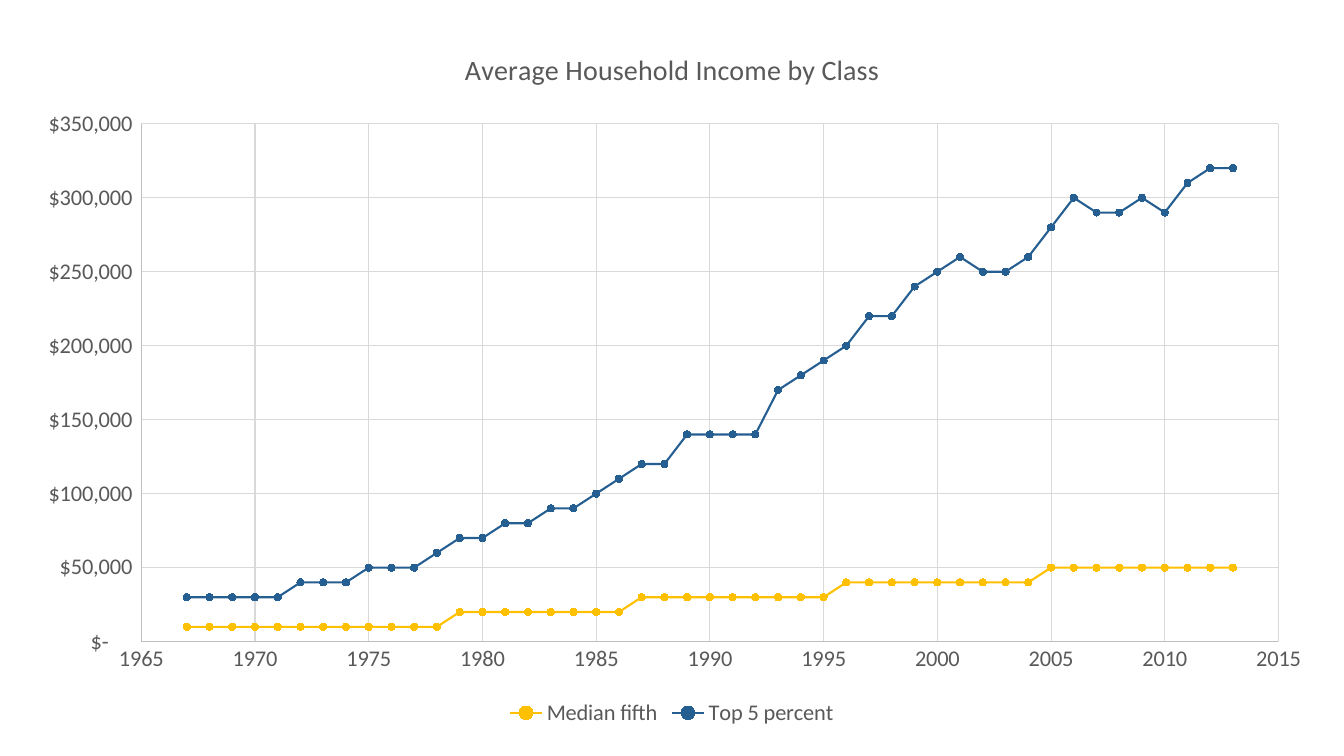
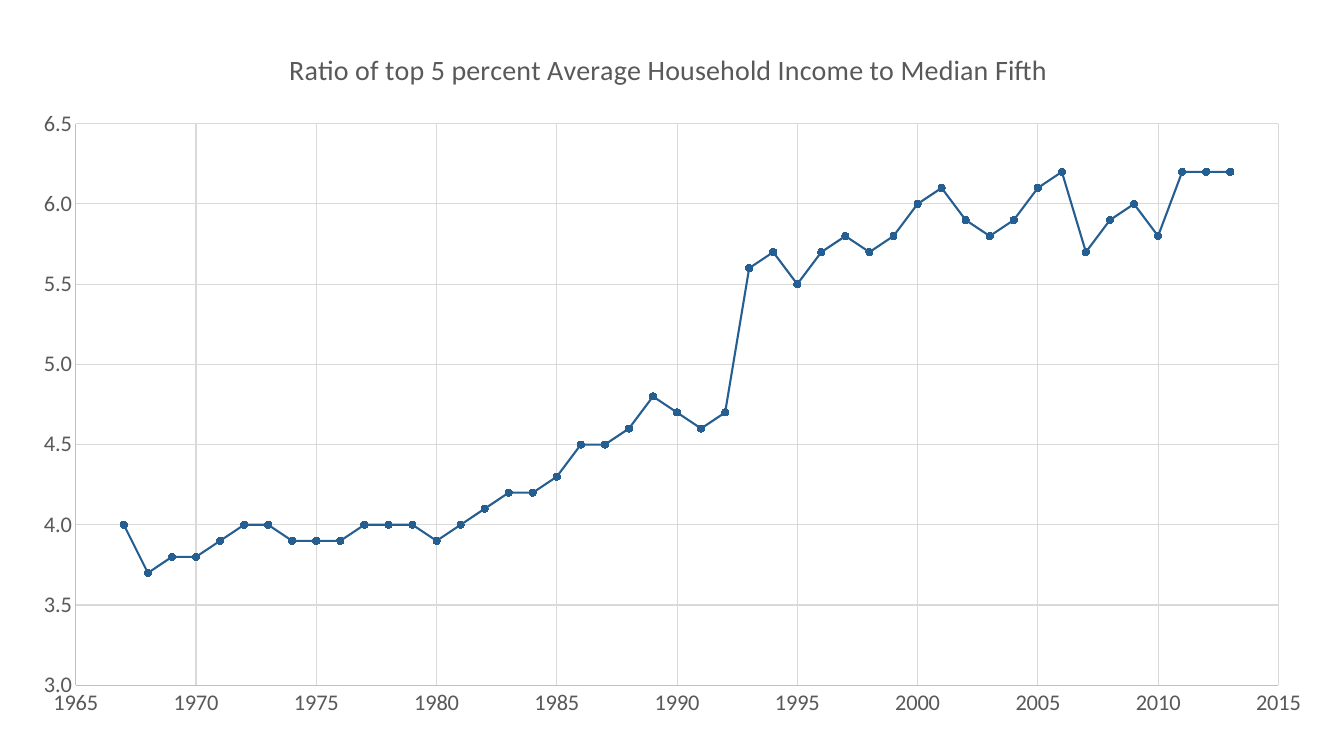
from pptx import Presentation
from pptx.chart.data import XyChartData
from pptx.dml.color import RGBColor
from pptx.enum.chart import XL_CHART_TYPE as ChartType
from pptx.enum.chart import XL_LEGEND_POSITION as LegendPosition
from pptx.enum.chart import XL_MARKER_STYLE as MarkerStyle
from pptx.enum.chart import XL_TICK_MARK as TickMark
from pptx.oxml import parse_xml
from pptx.oxml.ns import nsdecls, qn
from pptx.util import Cm, Pt

GOLD = RGBColor(0xFF, 0xC0, 0x00)
BLUE = RGBColor(0x25, 0x5E, 0x91)
TEXT_GRAY = RGBColor(0x59, 0x59, 0x59)
AXIS_GRAY = RGBColor(0xBF, 0xBF, 0xBF)
GRID_GRAY = RGBColor(0xD9, 0xD9, 0xD9)

FONT = "Calibri"
CHART_LEFT, CHART_TOP = Cm(0.42), Cm(0.64)
CHART_WIDTH, CHART_HEIGHT = Cm(33.02), Cm(17.78)
TITLE_TOP = Cm(0.48)
PLOT_TOP = Cm(2.48)

DOLLARS = '_("$"* #,##0_);_("$"* \\(#,##0\\);_("$"* "-"??_);_(@_)'
YEARS = range(1967, 2014)
YEAR_SCALE = {"minimum_scale": 1965, "maximum_scale": 2015, "major_unit": 5}
INCOME_SCALE = {"minimum_scale": 0, "maximum_scale": 350000, "major_unit": 50000}
RATIO_SCALE = {"minimum_scale": 3, "maximum_scale": 6.5, "major_unit": 0.5}

INCOME_STEP = 10000
MEDIAN_STEPS = [1] * 12 + [2] * 8 + [3] * 9 + [4] * 9 + [5] * 9
TOP_STEPS = [
    3, 3, 3, 3, 3, 4, 4, 4, 5, 5, 5, 6, 7, 7, 8, 8,
    9, 9, 10, 11, 12, 12, 14, 14, 14, 14, 17, 18, 19, 20, 22, 22,
    24, 25, 26, 25, 25, 26, 28, 30, 29, 29, 30, 29, 31, 32, 32,
]
RATIOS = [
    4, 3.7, 3.8, 3.8, 3.9, 4, 4, 3.9, 3.9, 3.9, 4, 4,
    4, 3.9, 4, 4.1, 4.2, 4.2, 4.3, 4.5, 4.5, 4.6, 4.8, 4.7,
    4.6, 4.7, 5.6, 5.7, 5.5, 5.7, 5.8, 5.7, 5.8, 6, 6.1, 5.9,
    5.8, 5.9, 6.1, 6.2, 5.7, 5.9, 6, 5.8, 6.2, 6.2, 6.2,
]


def set_attributes(target, values):
    for name, value in values.items():
        setattr(target, name, value)


def style_font(font, size):
    set_attributes(font, {"name": FONT, "size": Pt(size), "bold": False})
    font.color.rgb = TEXT_GRAY


def style_line(line, color, width):
    line.color.rgb = color
    line.width = Pt(width)


def place(element, index, left, top, width=None, height=None):
    fractions = {"x": left / CHART_WIDTH, "y": top / CHART_HEIGHT}
    target = ""
    if width is not None:
        fractions.update(w=width / CHART_WIDTH, h=height / CHART_HEIGHT)
        target = '<c:layoutTarget val="inner"/>'
    parts = [f'<c:{mode} val="edge"/>' for mode in ("xMode", "yMode")]
    parts += [f'<c:{name} val="{value:.4f}"/>' for name, value in fractions.items()]
    old_layout = element.find(qn("c:layout"))
    if old_layout is not None:
        element.remove(old_layout)
    element.insert(index, parse_xml(
        f'<c:layout {nsdecls("c")}><c:manualLayout>{target}{"".join(parts)}'
        "</c:manualLayout></c:layout>"
    ))


def style_axis(axis, scale, number_format):
    set_attributes(axis, {
        "has_major_gridlines": True,
        "major_tick_mark": TickMark.NONE,
        "minor_tick_mark": TickMark.NONE,
        **scale,
    })
    style_line(axis.format.line, AXIS_GRAY, 0.75)
    style_line(axis.major_gridlines.format.line, GRID_GRAY, 0.75)
    style_font(axis.tick_labels.font, 16)
    set_attributes(axis.tick_labels, {
        "number_format": number_format,
        "number_format_is_linked": False,
    })


def style_series(series, color):
    series.smooth = False
    style_line(series.format.line, color, 1.5)
    set_attributes(series.marker, {"style": MarkerStyle.CIRCLE, "size": 5})
    series.marker.format.fill.solid()
    series.marker.format.fill.fore_color.rgb = color
    style_line(series.marker.format.line, color, 0.75)


def add_title(chart, text, left):
    chart.has_title = True
    paragraph = chart.chart_title.text_frame.paragraphs[0]
    run = paragraph.add_run()
    run.text = text
    style_font(run.font, 20)
    place(chart.element.xpath("c:chart/c:title")[0], 1, left, TITLE_TOP)


def add_legend(chart):
    chart.has_legend = True
    set_attributes(chart.legend, {
        "position": LegendPosition.BOTTOM,
        "include_in_layout": False,
    })
    style_font(chart.legend.font, 16)


def add_year_chart(slide, series_list, scale, number_format, plot):
    data = XyChartData()
    for name, values, _ in series_list:
        series_data = data.add_series(name)
        for year, value in zip(YEARS, values):
            series_data.add_data_point(year, value)
    chart = slide.shapes.add_chart(
        ChartType.XY_SCATTER_LINES, CHART_LEFT, CHART_TOP,
        CHART_WIDTH, CHART_HEIGHT, data,
    ).chart
    style_font(chart.font, 16)
    chart.has_legend = False
    chart.plots[0].vary_by_categories = False
    for series, (_, _, color) in zip(chart.plots[0].series, series_list):
        style_series(series, color)
    style_axis(chart.category_axis, YEAR_SCALE, "General")
    style_axis(chart.value_axis, scale, number_format)
    left, width, height = plot
    plot_area = chart.element.xpath("c:chart/c:plotArea")[0]
    place(plot_area, 0, left, PLOT_TOP, width, height)
    return chart


def add_blank_slide(presentation):
    return presentation.slides.add_slide(presentation.slide_layouts[6])


def add_income_slide(presentation):
    incomes = [
        ("Median fifth", MEDIAN_STEPS, GOLD),
        ("Top 5 percent", TOP_STEPS, BLUE),
    ]
    series_list = [
        (name, [step * INCOME_STEP for step in steps], color)
        for name, steps, color in incomes
    ]
    chart = add_year_chart(
        add_blank_slide(presentation), series_list, INCOME_SCALE, DOLLARS,
        (Cm(3.14), Cm(28.66), Cm(13.05)),
    )
    add_title(chart, "Average Household Income by Class", Cm(11.17))
    add_legend(chart)


def add_ratio_slide(presentation):
    chart = add_year_chart(
        add_blank_slide(presentation), [("Series 1", RATIOS, BLUE)],
        RATIO_SCALE, "0.0", (Cm(1.49), Cm(30.31), Cm(14.15)),
    )
    add_title(
        chart,
        "Ratio of top 5 percent Average Household Income to Median Fifth",
        Cm(6.74),
    )


def main():
    presentation = Presentation()
    set_attributes(presentation, {"slide_width": Cm(33.87), "slide_height": Cm(19.05)})
    add_income_slide(presentation)
    add_ratio_slide(presentation)
    presentation.save("out.pptx")


if __name__ == "__main__":
    main()
